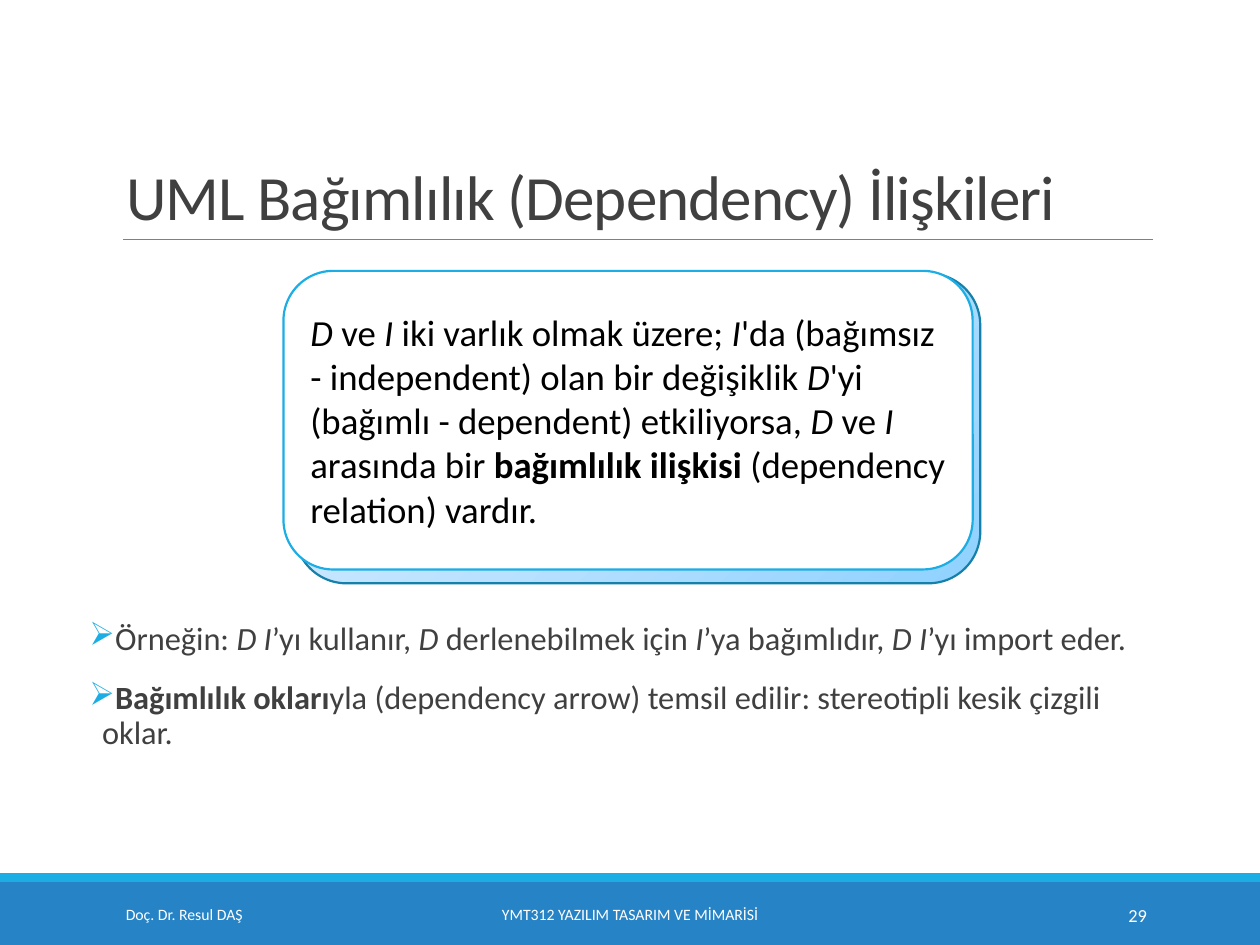
from copy import deepcopy

from lxml.etree import SubElement
from pptx import Presentation
from pptx.dml.color import RGBColor
from pptx.enum.shapes import MSO_CONNECTOR, MSO_SHAPE
from pptx.enum.text import MSO_ANCHOR, MSO_AUTO_SIZE, PP_ALIGN
from pptx.oxml.ns import qn
from pptx.util import Inches, Pt

WHITE = RGBColor(0xFF, 0xFF, 0xFF)
BLACK = RGBColor(0x00, 0x00, 0x00)
DARK_GRAY = RGBColor(0x40, 0x40, 0x40)
RULE_GRAY = RGBColor(0x80, 0x80, 0x80)
FOOTER_BLUE = RGBColor(0x26, 0x83, 0xC6)
ACCENT = RGBColor(0x1C, 0xAD, 0xE4)
BACK_EDGE = RGBColor(0x15, 0x80, 0xA9)
BACK_STOPS = [
    (0, RGBColor(0x8F, 0xD1, 0xFF)),
    (0.5, RGBColor(0xBA, 0xE1, 0xFF)),
    (1, RGBColor(0xDD, 0xEF, 0xFF)),
]

TITLE = "UML Bağımlılık (Dependency) İlişkileri"
DEFINITION = [
    ("D ", "italic"), ("ve ", None), ("I ", "italic"),
    ("iki varlık olmak üzere; ", None), ("I", "italic"),
    ("'da (bağımsız - independent) olan bir değişiklik ", None), ("D", "italic"),
    ("'yi (bağımlı - dependent) etkiliyorsa, ", None), ("D ", "italic"),
    ("ve ", None), ("I ", "italic"), ("arasında bir ", None),
    ("bağımlılık ilişkisi ", "bold"), ("(dependency relation) vardır.", None),
]
EXAMPLES = [
    [
        ("Örneğin: ", None), ("D I", "italic"), ("’yı kullanır, ", None),
        ("D ", "italic"), ("derlenebilmek için ", None), ("I", "italic"),
        ("’ya bağımlıdır, ", None), ("D I", "italic"), ("’yı import eder.", None),
    ],
    [
        ("Bağımlılık okları", "bold"),
        ("yla (dependency arrow) temsil edilir: stereotipli kesik çizgili oklar.", None),
    ],
]
FOOTERS = [
    ("Doç. Dr. Resul DAŞ", 0.9, 2.03, 9, PP_ALIGN.LEFT),
    ("YMT312 YAZILIM TASARIM VE MİMARİSİ", 3.02, 3.96, 9, PP_ALIGN.CENTER),
    ("29", 8.12, 1.08, 10.5, PP_ALIGN.RIGHT),
]


def apply_format(target, values):
    """Set each named attribute on the target."""
    for name, value in values.items():
        setattr(target, name, value)


def write_runs(paragraph, pieces, size, color):
    """Write (text, emphasis) pieces as runs of one paragraph."""
    for text, emphasis in pieces:
        run = paragraph.add_run()
        run.text = text
        values = {"name": "Calibri", "size": Pt(size)}
        if emphasis:
            values[emphasis] = True
        apply_format(run.font, values)
        run.font.color.rgb = color


def add_panel(slide, kind, box, fill=None, edge=None):
    """Add a preset shape without shadow, with optional fill and edge."""
    panel = slide.shapes.add_shape(kind, *map(Inches, box))
    panel.shadow.inherit = False
    if fill is not None:
        panel.fill.solid()
        panel.fill.fore_color.rgb = fill
    if edge is None:
        panel.line.fill.background()
    else:
        panel.line.color.rgb = edge
        panel.line.width = Pt(1.25)
    return panel


def shade(panel, stops, angle):
    """Fill a panel with a linear gradient of three stops."""
    panel.fill.gradient()
    panel.fill.gradient_angle = angle
    stop_list = panel._element.spPr.find(".//" + qn("a:gsLst"))
    stop_list.append(deepcopy(stop_list[0]))
    for stop, (position, color) in zip(panel.fill.gradient_stops, stops):
        stop.position = position
        stop.color.rgb = color


def add_text_area(slide, box, values):
    """Add a wrapping text box and return its text frame."""
    frame = slide.shapes.add_textbox(*map(Inches, box)).text_frame
    apply_format(frame, {"word_wrap": True, **values})
    return frame


def add_bullet(paragraph):
    """Give a paragraph an accent arrow bullet and a hanging indent."""
    properties = paragraph._p.get_or_add_pPr()
    apply_indent = {"marL": Inches(0.1), "indent": Inches(-0.1)}
    for name, value in apply_indent.items():
        properties.set(name, str(value))
    bullet_color = SubElement(properties, qn("a:buClr"))
    SubElement(bullet_color, qn("a:srgbClr")).set("val", str(ACCENT))
    SubElement(properties, qn("a:buChar")).set("char", "➢")


def add_title(slide):
    """Place and format the title and the rule below it."""
    title = slide.shapes.title
    apply_format(title, {
        "left": Inches(0.9), "top": Inches(0.31),
        "width": Inches(8.25), "height": Inches(1.59),
    })
    apply_format(title.text_frame, {
        "vertical_anchor": MSO_ANCHOR.BOTTOM,
        "auto_size": MSO_AUTO_SIZE.NONE, "word_wrap": True,
    })
    heading = title.text_frame.paragraphs[0]
    apply_format(heading, {"alignment": PP_ALIGN.LEFT, "line_spacing": 0.85})
    write_runs(heading, [(TITLE, None)], 36, DARK_GRAY)
    heading.runs[0]._r.get_or_add_rPr().set("spc", "-50")

    rule = slide.shapes.add_connector(
        MSO_CONNECTOR.STRAIGHT, Inches(0.98), Inches(1.9), Inches(9.15), Inches(1.9))
    rule.line.color.rgb = RULE_GRAY
    rule.line.width = Pt(0.5)
    SubElement(rule._element.spPr, qn("a:effectLst"))


def add_definition(slide):
    """Add the definition card on its shaded backing."""
    backing = add_panel(
        slide, MSO_SHAPE.ROUNDED_RECTANGLE, (2.34, 2.17, 5.44, 2.46), edge=BACK_EDGE)
    shade(backing, BACK_STOPS, 135)
    card = add_panel(
        slide, MSO_SHAPE.ROUNDED_RECTANGLE, (2.25, 2.15, 5.47, 2.37), WHITE, ACCENT)
    card.text_frame.vertical_anchor = MSO_ANCHOR.MIDDLE
    definition = card.text_frame.paragraphs[0]
    definition.alignment = PP_ALIGN.LEFT
    write_runs(definition, DEFINITION, 21, BLACK)


def add_examples(slide):
    """Add the bulleted examples."""
    frame = add_text_area(
        slide, (0.71, 4.89, 8.62, 1.19), {"margin_left": 0, "margin_right": 0})
    for index, pieces in enumerate(EXAMPLES):
        example = frame.add_paragraph() if index else frame.paragraphs[0]
        add_bullet(example)
        apply_format(example, {
            "line_spacing": 0.9,
            "space_before": Pt(12 if index else 0),
            "space_after": Pt(2),
        })
        write_runs(example, pieces, 18.5, DARK_GRAY)


def add_footer(slide):
    """Add the footer bands and their three texts."""
    add_panel(slide, MSO_SHAPE.RECTANGLE, (0, 7, 10, 0.5), FOOTER_BLUE)
    add_panel(slide, MSO_SHAPE.RECTANGLE, (0, 6.93, 10, 0.07), ACCENT)
    for text, left, width, size, alignment in FOOTERS:
        frame = add_text_area(
            slide, (left, 7.06, width, 0.4), {"vertical_anchor": MSO_ANCHOR.MIDDLE})
        frame.paragraphs[0].alignment = alignment
        write_runs(frame.paragraphs[0], [(text, None)], size, WHITE)


def main():
    """Build the slide and save it."""
    presentation = Presentation()
    apply_format(presentation, {"slide_width": Inches(10), "slide_height": Inches(7.5)})
    slide = presentation.slides.add_slide(presentation.slide_layouts[5])
    add_footer(slide)
    add_title(slide)
    add_examples(slide)
    add_definition(slide)
    presentation.save("out.pptx")


if __name__ == "__main__":
    main()
